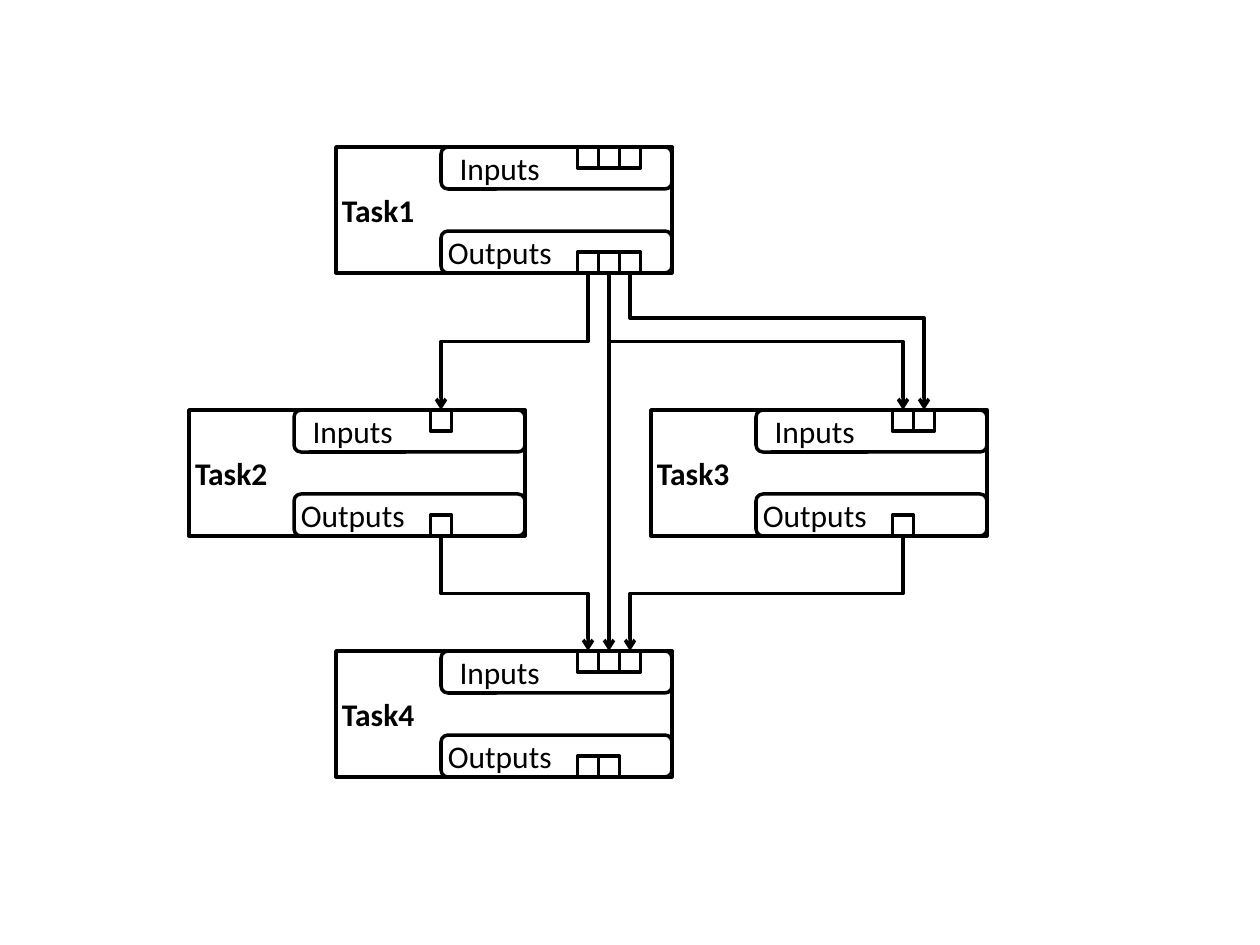
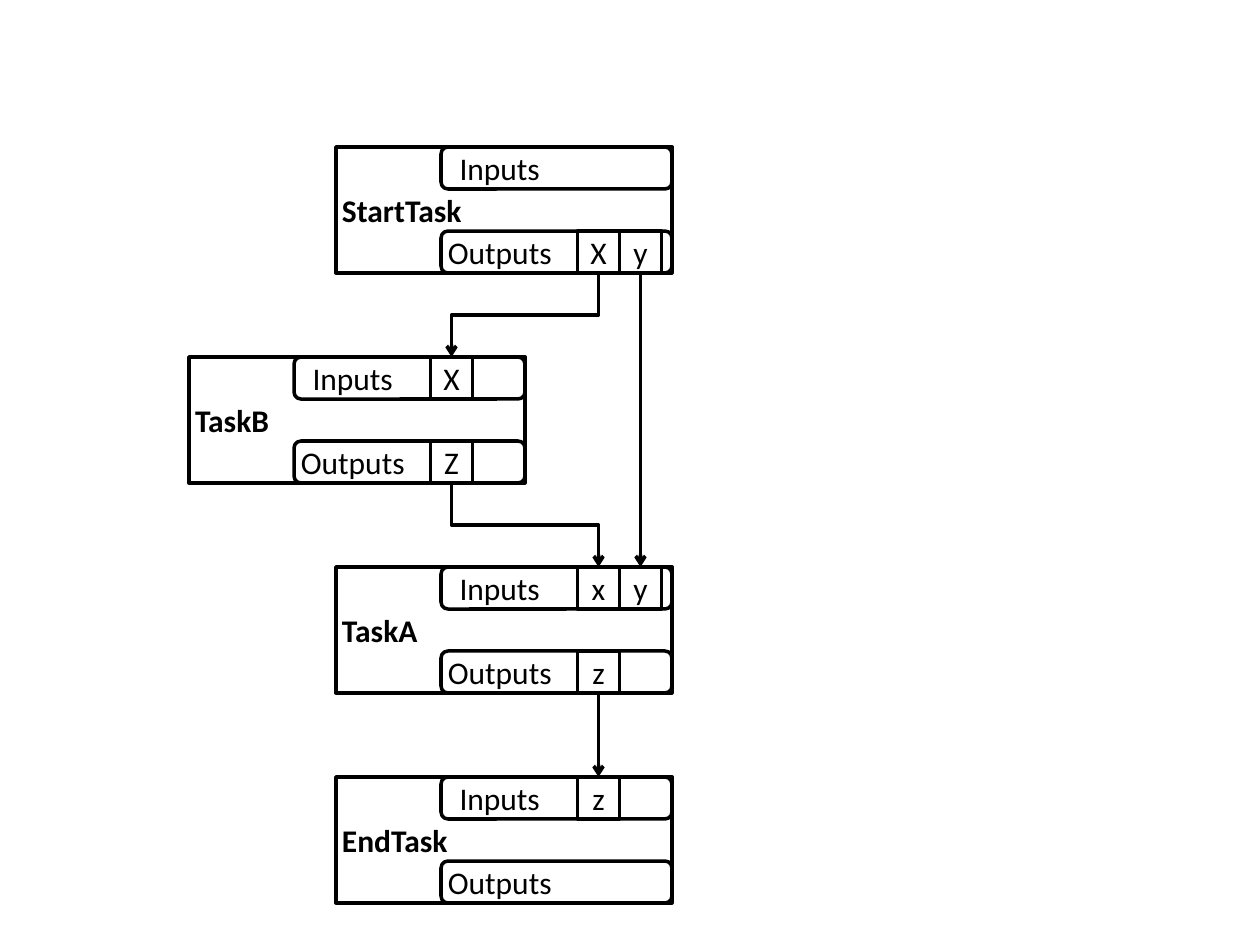
from lxml import etree
from pptx import Presentation
from pptx.dml.color import RGBColor
from pptx.enum.shapes import MSO_CONNECTOR, MSO_SHAPE
from pptx.enum.text import MSO_ANCHOR, PP_ALIGN
from pptx.oxml.ns import qn
from pptx.util import Pt

RECT, ROUND = MSO_SHAPE.RECTANGLE, MSO_SHAPE.ROUNDED_RECTANGLE
BENT, STRAIGHT = MSO_CONNECTOR.ELBOW, MSO_CONNECTOR.STRAIGHT
LEFT, CENTER = PP_ALIGN.LEFT, PP_ALIGN.CENTER
TOP, MIDDLE = MSO_ANCHOR.TOP, MSO_ANCHOR.MIDDLE

SCALE = 914400 / 126
INK, PAPER = "000000", "FFFFFF"
FONT = "Calibri"
TASK_W, TASK_H = 336, 126
BAR_X, BAR_W, BAR_H = 105, 231, 42
PIN, SLOT = 21, 42
PIN_X = 252 - PIN / 2


def px(length):
    """Turn pixels into EMU."""
    return round(length * SCALE)


def color(code):
    """Turn a hex string into a colour."""
    return RGBColor.from_string(code)


def box(shapes, kind, x, y, w, h, fill=None):
    """Add an outlined shape, hollow unless a fill is given."""
    shape = shapes.add_shape(kind, px(x), px(y), px(w), px(h))
    shape.shadow.inherit = False
    if fill:
        shape.fill.solid()
        shape.fill.fore_color.rgb = color(fill)
    else:
        shape.fill.background()
    shape.line.color.rgb = color(INK)
    shape.line.width = Pt(2)
    return shape


def write(shape, text, align=CENTER, anchor=MIDDLE, bold=False, inset=0):
    """Put one run of text into a shape."""
    frame = shape.text_frame
    frame.word_wrap = True
    frame.vertical_anchor = anchor
    frame.margin_left = px(inset)
    frame.margin_top = frame.margin_right = frame.margin_bottom = 0
    para = frame.paragraphs[0]
    para.alignment = align
    run = para.add_run()
    run.text = text
    run.font.name = FONT
    run.font.size = Pt(18)
    run.font.bold = bold
    run.font.color.rgb = color(INK)


def bar(shapes, x, y, label):
    """Add a rounded bar with its label in the first of two columns."""
    shape = box(shapes, ROUND, x, y, BAR_W, BAR_H)
    write(shape, label, anchor=TOP)
    shape.text_frame._txBody.bodyPr.set("numCol", "2")


def ports(shapes, x, y, labels, size):
    """Add a row of square ports and return their centres across."""
    for i, label in enumerate(labels):
        port = box(shapes, RECT, x + i * size, y, size, size)
        if label:
            write(port, label)
    return [x + (i + 0.5) * size for i in range(len(labels))]


def task(slide, x, y, name, ins, outs, size):
    """Add a task group and return its input and output points."""
    shapes = slide.shapes.add_group_shape().shapes
    base = y + TASK_H
    body = box(shapes, RECT, x, y, TASK_W, TASK_H, PAPER)
    write(body, name, align=LEFT, bold=True, inset=6)
    bar(shapes, x + BAR_X, y, "Inputs")
    bar(shapes, x + BAR_X, base - BAR_H, "Outputs")
    tops = ports(shapes, x + PIN_X, y, ins, size)
    ends = ports(shapes, x + PIN_X, base - size, outs, size)
    return [(p, y) for p in tops], [(p, base) for p in ends]


def link(slide, start, end, bend=0.5):
    """Add an arrow that leaves downwards and turns at the bend."""
    (x1, y1), (x2, y2) = start, end
    add = slide.shapes.add_connector
    if x1 == x2:
        line = add(STRAIGHT, px(x1), px(y1), px(x2), px(y2))
    else:
        right = x2 > x1
        mid_x, mid_y = (x1 + x2) / 2, (y1 + y2) / 2
        half_w, half_h = (y2 - y1) / 2, abs(x2 - x1) / 2
        if right:
            half_w = -half_w
        line = add(BENT, px(mid_x - half_w), px(mid_y - half_h),
                   px(mid_x + half_w), px(mid_y + half_h))
        props = line._element.spPr
        turn = 270 if right else 90
        props.find(qn("a:xfrm")).set("rot", str(turn * 60000))
        guides = props.find(qn("a:prstGeom")).find(qn("a:avLst"))
        etree.SubElement(guides, qn("a:gd"), name="adj1",
                         fmla=f"val {round(bend * 100000)}")
    line.line.color.rgb = color(INK)
    line.line.width = Pt(2)
    props = line._element.spPr
    etree.SubElement(props.find(qn("a:ln")), qn("a:tailEnd"), type="arrow")
    etree.SubElement(props, qn("a:effectLst"))


def diamond(slide):
    """Draw four tasks that fork and join."""
    def node(x, y, name, ins, outs):
        """Add a task with unnamed ports."""
        return task(slide, x, y, name, [""] * ins, [""] * outs, PIN)

    _, outs1 = node(336, 147, "Task1", 3, 3)
    ins3, outs3 = node(651, 410, "Task3", 2, 1)
    ins4, _ = node(336, 651, "Task4", 3, 2)
    ins2, outs2 = node(189, 410, "Task2", 1, 1)
    link(slide, outs1[0], ins2[0])
    link(slide, outs1[1], ins3[0])
    link(slide, outs1[2], ins3[1], 0.33)
    link(slide, outs2[0], ins4[0])
    link(slide, outs3[0], ins4[2])
    link(slide, outs1[1], ins4[1])


def chain(slide):
    """Draw tasks with named ports, one step below another."""
    rows = [147 + 210 * i for i in range(4)]
    _, first = task(slide, 336, rows[0], "StartTask", "", "Xy", SLOT)
    ins_a, outs_a = task(slide, 336, rows[2], "TaskA", "xy", "z", SLOT)
    ins_b, outs_b = task(slide, 189, rows[1], "TaskB", "X", "Z", SLOT)
    last, _ = task(slide, 336, rows[3], "EndTask", "z", "", SLOT)
    link(slide, first[0], ins_b[0])
    link(slide, outs_b[0], ins_a[0])
    link(slide, first[1], ins_a[1])
    link(slide, outs_a[0], last[0])


def main():
    """Build both slides and save them."""
    deck = Presentation()
    deck.slide_width, deck.slide_height = px(1260), px(945)
    for draw in (diamond, chain):
        draw(deck.slides.add_slide(deck.slide_layouts[6]))
    deck.save("out.pptx")


main()
